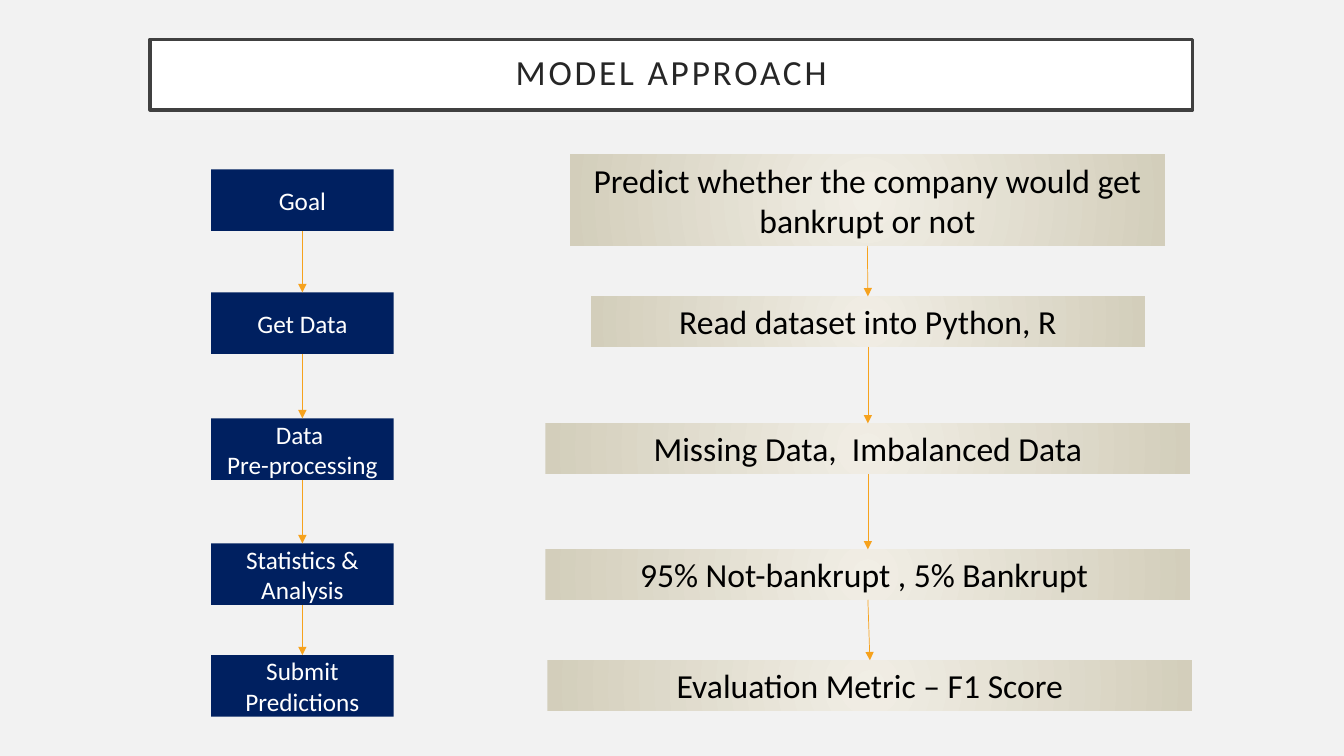
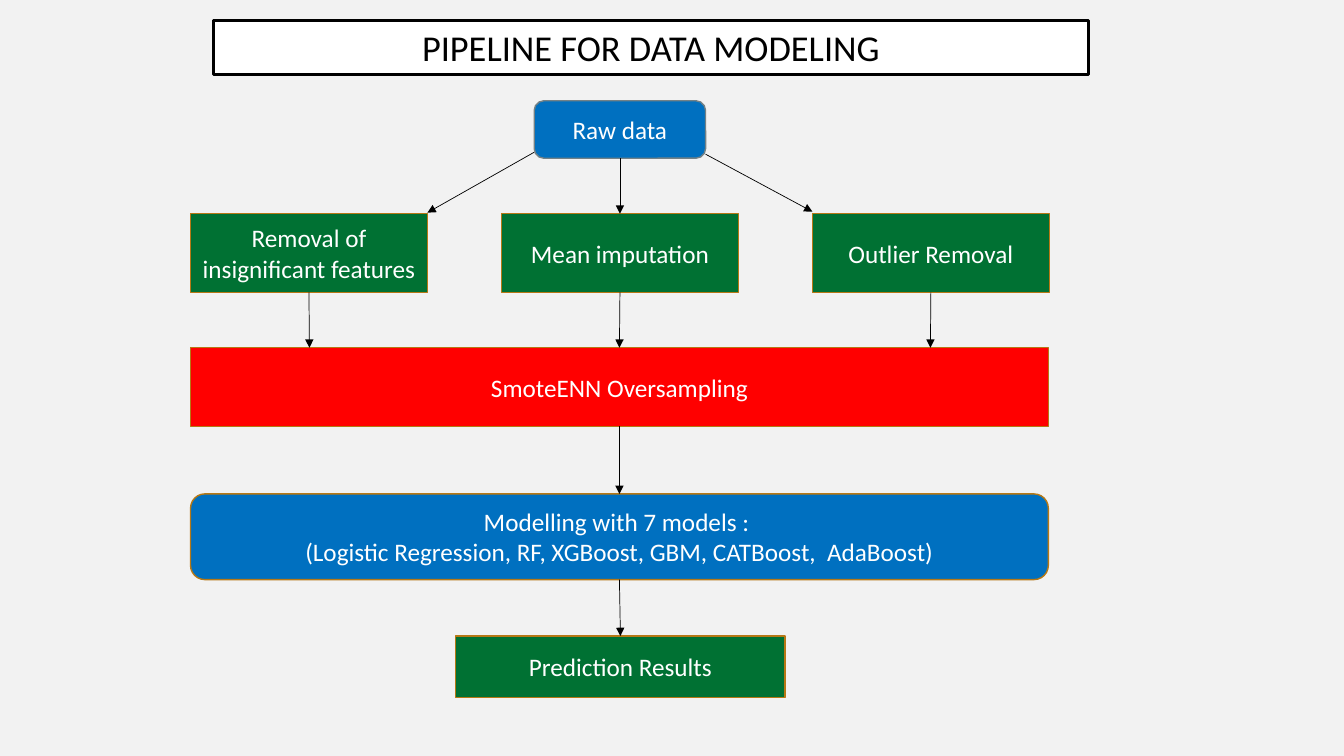
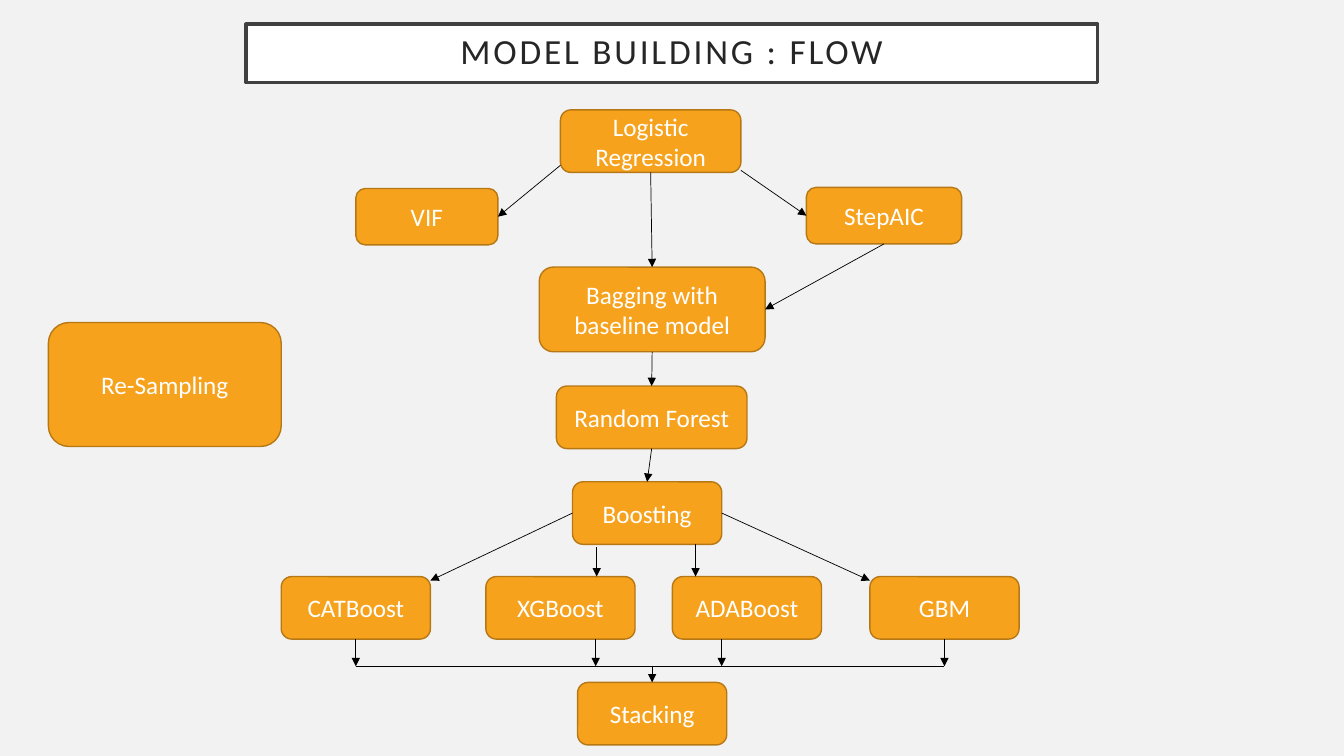
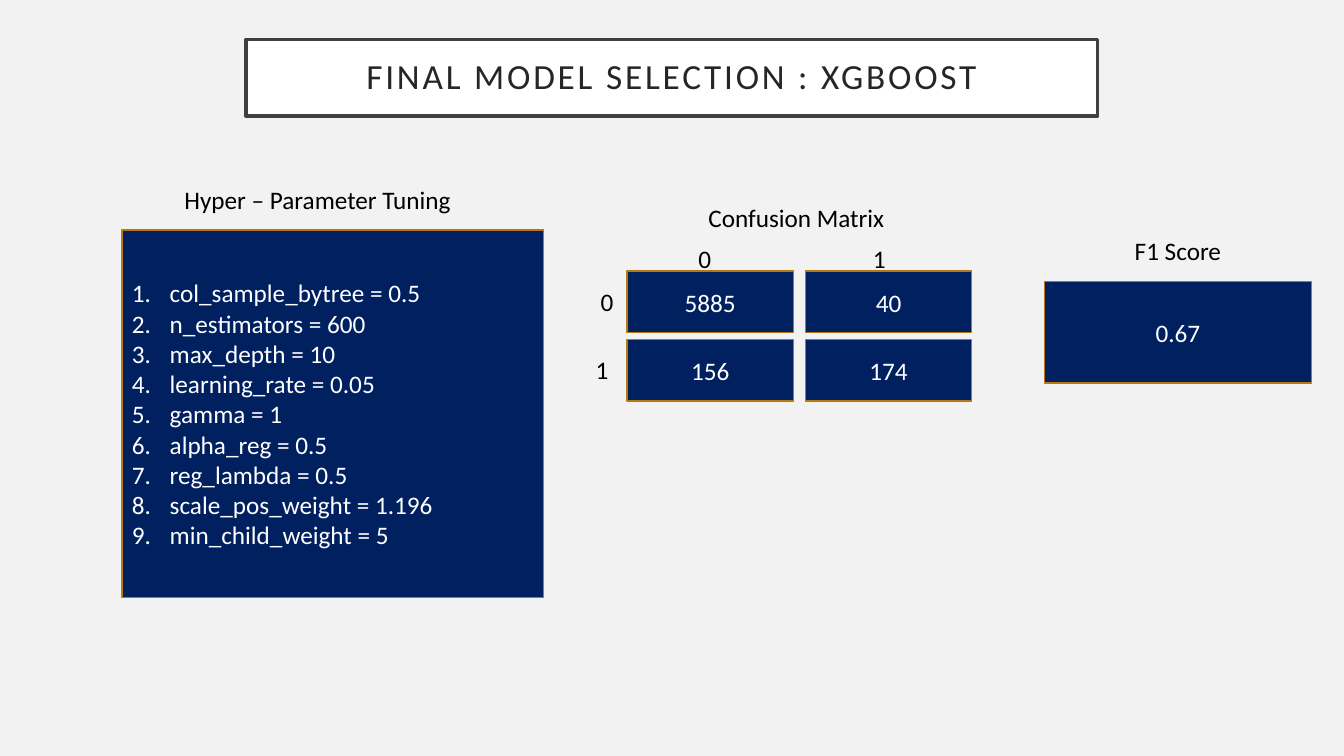
from dataclasses import dataclass
from itertools import pairwise

from lxml import etree
from pptx import Presentation
from pptx.dml.color import RGBColor
from pptx.enum.shapes import MSO_CONNECTOR, MSO_SHAPE
from pptx.enum.text import MSO_ANCHOR, PP_ALIGN
from pptx.oxml.ns import qn
from pptx.util import Inches, Pt

RECTANGLE, ROUNDED = MSO_SHAPE.RECTANGLE, MSO_SHAPE.ROUNDED_RECTANGLE
STRAIGHT = MSO_CONNECTOR.STRAIGHT
MIDDLE = MSO_ANCHOR.MIDDLE
LEFT_ALIGNED, CENTERED = PP_ALIGN.LEFT, PP_ALIGN.CENTER
TOP, LEFT, BOTTOM, RIGHT = range(4)  # connection sites


@dataclass(frozen=True)
class Theme:
    font: str = "Calibri"
    background: str = "F2F2F2"
    white: str = "FFFFFF"
    black: str = "000000"
    title_text: str = "262626"
    title_border: str = "404040"
    navy: str = "002060"
    blue: str = "0070C0"
    green: str = "007133"
    red: str = "FF0000"
    orange: str = "F6A21D"
    border: str = "B67815"
    gray: str = "738186"
    glow_center: str = "F1EEE5"
    glow_edge: str = "D3CEBB"
    title_size: float = 25.2
    plain_title_size: float = 26
    statement_size: float = 24
    body_size: float = 18


THEME = Theme()


def color(value):
    return RGBColor.from_string(value)


def grid(cells):
    """Length of a number of grid columns or rows, ten to the inch."""
    return Inches(cells / 10)


class Deck:
    def __init__(self):
        self.presentation = Presentation()
        self.presentation.slide_width = grid(133.33)
        self.presentation.slide_height = grid(75)
        self.slide = None

    def new_slide(self):
        self.slide = self.presentation.slides.add_slide(self.presentation.slide_layouts[6])
        fill = self.slide.background.fill
        fill.solid()
        fill.fore_color.rgb = color(THEME.background)

    def set_text(self, shape, text, size, text_color, align=CENTERED, numbered=False):
        frame = shape.text_frame
        frame.word_wrap = True
        frame.vertical_anchor = MIDDLE
        frame.text = text
        for paragraph in frame.paragraphs:
            paragraph.alignment = align
            if numbered:
                properties = paragraph._p.get_or_add_pPr()
                properties.set("marL", str(grid(3.75)))
                properties.set("indent", str(-grid(3.75)))
                etree.SubElement(properties, qn("a:buAutoNum"), type="arabicPeriod")
            font = paragraph.font
            font.name, font.size = THEME.font, Pt(size)
            font.color.rgb = color(text_color)

    def box(self, text, place, fill, border=None, kind=RECTANGLE, width=1,
            size=THEME.body_size, text_color=THEME.white, **layout):
        shape = self.slide.shapes.add_shape(kind, *map(grid, place))
        shape.shadow.inherit = False
        shape.fill.solid()
        shape.fill.fore_color.rgb = color(fill)
        if border:
            shape.line.color.rgb = color(border)
            shape.line.width = Pt(width)
        else:
            shape.line.fill.background()
        self.set_text(shape, text, size, text_color, **layout)
        return shape

    def title(self, text, place):
        shape = self.box(text, place, THEME.white, THEME.title_border, width=2.5,
                         size=THEME.title_size, text_color=THEME.title_text)
        frame = shape.text_frame
        frame.margin_left = frame.margin_right = grid(2)
        frame.margin_top = frame.margin_bottom = grid(2)
        paragraph = frame.paragraphs[0]
        paragraph.line_spacing = 0.9
        paragraph.runs[0]._r.get_or_add_rPr().set("spc", "200")

    def statement(self, text, place):
        """Box with a glow that fades from its center to its edges."""
        shape = self.box(text, place, THEME.glow_center,
                         size=THEME.statement_size, text_color=THEME.black)
        shape.fill.gradient()
        stops = shape.fill.gradient_stops
        for stop, value in zip(stops, (THEME.glow_center, THEME.glow_edge)):
            stop.color.rgb = color(value)
        gradient = shape.element.spPr.find(qn("a:gradFill"))
        gradient.remove(gradient.find(qn("a:lin")))
        circle = etree.SubElement(gradient, qn("a:path"), path="circle")
        etree.SubElement(circle, qn("a:fillToRect"), l="50000", t="50000", r="50000", b="50000")
        return shape

    def label(self, text, place, align=CENTERED):
        shape = self.slide.shapes.add_textbox(*map(grid, place))
        self.set_text(shape, text, THEME.body_size, THEME.black, align)

    def line(self, start, end, line_color=THEME.black, arrow=True):
        """Each end is a grid point or a pair of shape and side."""
        free = [isinstance(target[0], (int, float)) for target in (start, end)]
        points = [target if is_free else (0, 0) for target, is_free in zip((start, end), free)]
        connector = self.slide.shapes.add_connector(
            STRAIGHT, *(grid(value) for point in points for value in point))
        if not free[0]:
            connector.begin_connect(*start)
        if not free[1]:
            connector.end_connect(*end)
        connector.line.color.rgb = color(line_color)
        connector.line.width = Pt(0.5)
        properties = connector.element.spPr
        if arrow:
            etree.SubElement(properties.find(qn("a:ln")), qn("a:tailEnd"), type="triangle")
        etree.SubElement(properties, qn("a:effectLst"))

    def chain(self, shapes, line_color=THEME.black):
        for upper, lower in pairwise(shapes):
            self.line((upper, BOTTOM), (lower, TOP), line_color)


def model_approach(deck):
    deck.new_slide()
    deck.title("MODEL APPROACH", (14.9, 3.9, 103.4, 7))
    steps = [("Goal", 16.8), ("Get Data", 29), ("Data \nPre-processing", 41.5),
             ("Statistics &\nAnalysis", 53.9), ("Submit Predictions", 65)]
    deck.chain([deck.box(text, (20.95, top, 18.1, 6.1), THEME.navy) for text, top in steps],
               THEME.orange)
    statements = [
        ("Predict whether the company would get bankrupt or not", (56.5, 15.3, 59.1, 9.1)),
        ("Read dataset into Python, R", (58.6, 29.4, 55, 5)),
        ("Missing Data,  Imbalanced Data", (54.1, 42, 64, 5)),
        ("95% Not-bankrupt , 5% Bankrupt ", (54.1, 54.5, 64, 5)),
        ("Evaluation Metric – F1 Score", (54.3, 65.5, 64, 5)),
    ]
    deck.chain([deck.statement(*item) for item in statements], THEME.orange)


def data_pipeline(deck):
    deck.new_slide()
    deck.box("PIPELINE FOR DATA MODELING", (21.2, 2, 86.8, 5.4), THEME.white, THEME.black,
             width=2.25, size=THEME.plain_title_size, text_color=THEME.black)
    raw_data = deck.box("Raw data", (53, 10, 17, 5.7), THEME.blue, THEME.gray, ROUNDED)
    cleaning = ["Removal of insignificant features", "Mean imputation", "Outlier Removal"]
    removal, imputation, outliers = [
        deck.box(text, (18.9 + 30.85 * column, 21.2, 23.5, 7.8), THEME.green, THEME.border)
        for column, text in enumerate(cleaning)]
    oversampling = deck.box("SmoteENN Oversampling", (18.9, 34.5, 85.1, 7.8),
                            THEME.red, THEME.border)
    modelling = deck.box(
        "Modelling with 7 models : \n"
        "(Logistic Regression, RF, XGBoost, GBM, CATBoost,  AdaBoost)",
        (18.9, 49, 85.1, 8.5), THEME.blue, THEME.border, ROUNDED)
    results = deck.box("Prediction Results", (45.2, 63.1, 32.7, 6.1), THEME.green, THEME.border)
    # Flow
    deck.chain([raw_data, imputation, oversampling, modelling, results])
    deck.line((53, 15.1), (42.4, 21.1))
    deck.line((70, 15.3), (80.6, 21))
    deck.line((removal, BOTTOM), (30.7, 34.5))
    deck.line((outliers, BOTTOM), (92.3, 34.5))


def model_flow(deck):
    deck.new_slide()
    deck.title("MODEL BUILDING : FLOW", (24.4, 2.4, 84.5, 5.8))

    def model(text, *place):
        return deck.box(text, place, THEME.orange, THEME.border, ROUNDED)

    regression = model("Logistic Regression", 55.6, 10.9, 17.9, 6.2)
    vif = model("VIF", 35.3, 18.7, 14.1, 5.6)
    step_aic = model("StepAIC", 80, 18.6, 15.4, 5.6)
    bagging = model("Bagging with baseline model", 53.5, 26.5, 22.4, 8.4)
    forest = model("Random Forest", 55.2, 38.3, 18.9, 6.2)
    boosting = model("Boosting", 56.8, 47.8, 14.8, 6.2)
    boosters = [("CATBoost", 27.9), ("XGBoost", 48.2), ("ADABoost", 66.7), ("GBM", 86.3)]
    cat_boost, _, _, gbm = [model(text, left, 57.2, 14.8, 6.2) for text, left in boosters]
    stacking = model("Stacking", 57.3, 67.7, 14.8, 6.2)
    model("Re-Sampling", 4.8, 32, 23.1, 12.3)
    # Flow down to boosting
    deck.chain([regression, bagging, forest, boosting])
    deck.line((55.6, 16.4), (vif, RIGHT))
    deck.line((73.5, 16.9), (step_aic, LEFT))
    deck.line((step_aic, BOTTOM), (bagging, RIGHT))
    # Boosting to its variants
    deck.line((boosting, LEFT), (42.7, 57.6))
    deck.line((boosting, RIGHT), (86.3, 57.6))
    deck.line((59.2, 54.3), (59.2, 57.2))
    deck.line((69, 54), (69, 57.2))
    # Variants gathered into stacking
    gather = 66.1
    deck.line((cat_boost, BOTTOM), (35.3, gather))
    deck.line((gbm, BOTTOM), (93.7, gather))
    for column in (59.1, 71.6):
        deck.line((column, 63.4), (column, gather))
    deck.line((35.3, gather), (93.7, gather), arrow=False)
    deck.line((64.7, gather), (stacking, TOP))


def final_model(deck):
    deck.new_slide()
    deck.title("FINAL MODEL SELECTION : XGBOOST", (24.4, 3.9, 84.5, 7.6))
    # Tuned parameters
    deck.label("Hyper – Parameter Tuning", (12.1, 17.8, 38.8, 4))
    parameters = ["col_sample_bytree = 0.5", "n_estimators = 600", "max_depth = 10",
                  "learning_rate = 0.05", "gamma = 1", "alpha_reg = 0.5",
                  "reg_lambda = 0.5", "scale_pos_weight = 1.196", "min_child_weight = 5"]
    deck.box("\n".join(parameters), (12.1, 22.8, 41.8, 36.5), THEME.navy, THEME.border,
             align=LEFT_ALIGNED, numbered=True)
    # Confusion matrix
    deck.label("Confusion Matrix", (63.5, 19.6, 31, 4))
    for row, counts in enumerate([(5885, 40), (156, 174)]):
        deck.label(str(row), (68.3 + 17.3 * row, 23.6, 4.5, 4), LEFT_ALIGNED)
        deck.label(str(row), (58.6 - 0.5 * row, 27.9 + 6.8 * row, 3.8, 4), LEFT_ALIGNED)
        for column, count in enumerate(counts):
            deck.box(str(count), (62.2 + 17.7 * column, 26.9 + 6.8 * row, 16.5, 6.1),
                     THEME.navy, THEME.border)
    # Score
    deck.label("F1 Score", (107.4, 22.8, 18.9, 4))
    deck.box("0.67", (103.6, 27.9, 26.5, 10.1), THEME.navy, THEME.border)


def main():
    deck = Deck()
    for build in (model_approach, data_pipeline, model_flow, final_model):
        build(deck)
    deck.presentation.save("out.pptx")


if __name__ == "__main__":
    main()
